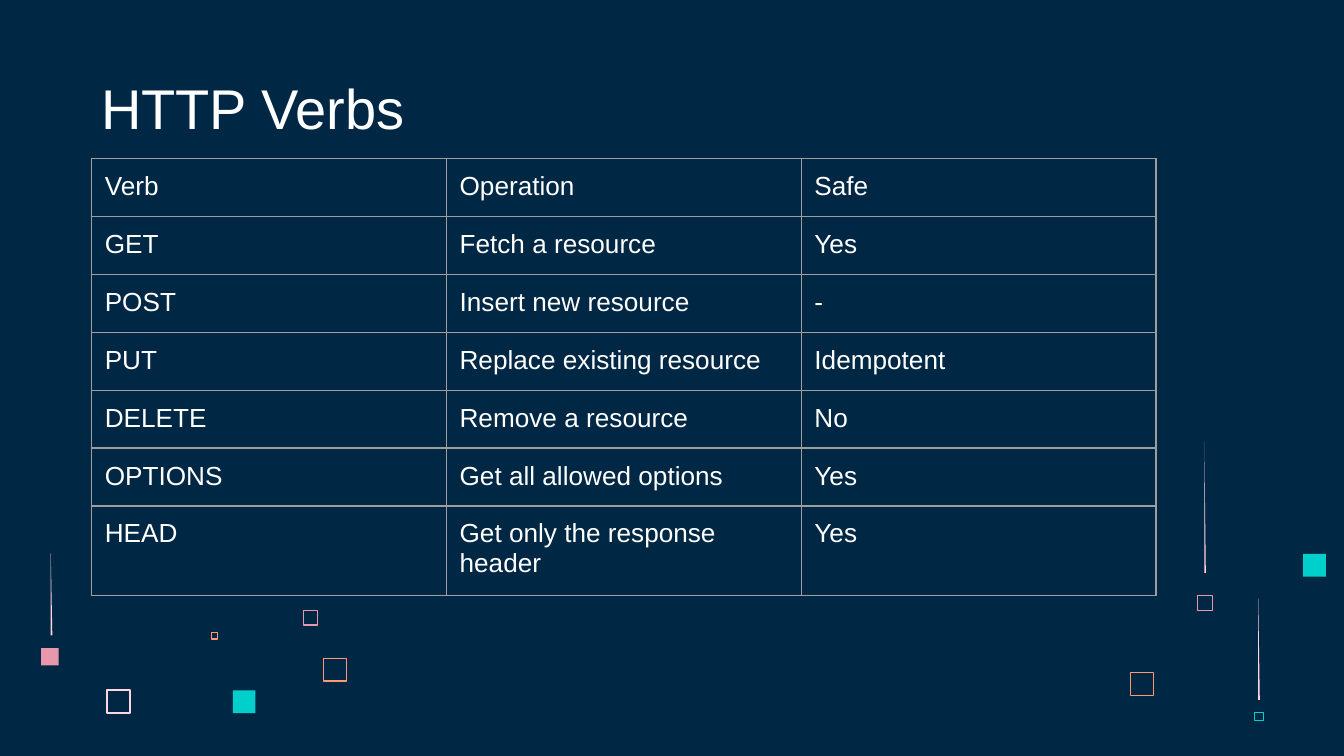
from lxml.etree import SubElement
from pptx import Presentation
from pptx.dml.color import RGBColor
from pptx.enum.shapes import MSO_SHAPE
from pptx.enum.text import MSO_ANCHOR
from pptx.oxml.ns import qn
from pptx.util import Cm, Pt

NAVY, WHITE, GREY = "002845", "FFFFFF", "9E9E9E"
BLUSH, PINK, ORANGE, TEAL = "FFD6E1", "E898AC", "FF9973", "00CFCC"

VERBS = [
    ("Verb", "Operation", "Safe"),
    ("GET", "Fetch a resource", "Yes"),
    ("POST", "Insert new resource", "-"),
    ("PUT", "Replace existing resource", "Idempotent"),
    ("DELETE", "Remove a resource", "No"),
    ("OPTIONS", "Get all allowed options", "Yes"),
    ("HEAD", "Get only the response header", "Yes"),
]

# Left, top, size, colour, outline width in points (0 means filled)
SQUARES = [
    (2.01, 13.03, 0.46, BLUSH, 1),
    (5.72, 11.53, 0.3, PINK, 0.75),
    (3.98, 11.94, 0.15, ORANGE, 0.75),
    (6.1, 12.43, 0.46, ORANGE, 0.75),
    (21.35, 12.7, 0.46, ORANGE, 0.75),
    (22.63, 11.25, 0.28, PINK, 0.23),
    (23.71, 13.46, 0.16, TEAL, 0.23),
    (4.4, 13.05, 0.43, TEAL, 0),
    (24.63, 10.47, 0.43, TEAL, 0),
    (0.78, 12.25, 0.33, PINK, 0),
]

# Left, top, height
STREAKS = [(22.76, 8.35, 2.48), (0.96, 10.46, 1.55), (23.78, 11.3, 1.93)]


def colour(hex_string):
    return RGBColor.from_string(hex_string)


def add_text(paragraph, text, size):
    run = paragraph.add_run()
    run.text = text
    run.font.name = "Arial"
    run.font.size = Pt(size)
    run.font.color.rgb = colour(WHITE)


def set_borders(cell, hex_string, width):
    properties = cell._tc.get_or_add_tcPr()
    for position, side in enumerate(("lnL", "lnR", "lnT", "lnB")):
        line = SubElement(properties, qn(f"a:{side}"), w=str(Pt(width)))
        fill = SubElement(line, qn("a:solidFill"))
        SubElement(fill, qn("a:srgbClr"), val=hex_string)
        # Borders come before the cell's fill
        properties.insert(position, line)


def add_square(slide, left, top, size, hex_string, outline):
    inset = Pt(outline) // 2 if outline >= 0.75 else 0
    side = Cm(size) - 2 * inset
    shape = slide.shapes.add_shape(
        MSO_SHAPE.RECTANGLE, Cm(left) + inset, Cm(top) + inset, side, side)
    shape.shadow.inherit = False
    if outline:
        shape.fill.background()
        shape.line.color.rgb = colour(hex_string)
        shape.line.width = Pt(outline)
    else:
        shape.fill.solid()
        shape.fill.fore_color.rgb = colour(hex_string)
        shape.line.fill.background()


def add_streak(slide, left, top, height):
    """A thin wedge that widens downwards."""
    width = Cm(0.03)
    x, y, bottom = Cm(left), Cm(top), Cm(top + height)
    builder = slide.shapes.build_freeform(x, y)
    builder.add_line_segments([(x, bottom), (x + width, bottom)], close=True)
    shape = builder.convert_to_shape()
    shape.shadow.inherit = False
    shape.fill.solid()
    shape.fill.fore_color.rgb = colour(BLUSH)
    shape.line.fill.background()


def add_decoration(slide):
    for square in SQUARES:
        add_square(slide, *square)
    for streak in STREAKS:
        add_streak(slide, *streak)


def add_title(slide, left, top, width, height, text):
    frame = slide.shapes.add_textbox(left, top, width, height).text_frame
    frame.word_wrap = True
    frame.vertical_anchor = MSO_ANCHOR.BOTTOM
    frame.margin_left = frame.margin_right = frame.margin_top = Cm(0.18)
    frame.margin_bottom = Cm(0.07)
    add_text(frame.paragraphs[0], text, 30)


def add_verb_table(slide, left, top, width, height, rows):
    table = slide.shapes.add_table(
        len(rows), len(rows[0]), left, top, width, height).table
    table.first_row = table.horz_banding = False
    for row, values in zip(table.rows, rows):
        row.height = Cm(1.06)
        for cell, value in zip(row.cells, values):
            cell.fill.background()
            cell.margin_left = cell.margin_right = Cm(0.25)
            cell.margin_top = cell.margin_bottom = Cm(0.25)
            set_borders(cell, GREY, 0.75)
            add_text(cell.text_frame.paragraphs[0], value, 14)
    # The last row holds two lines
    table.rows[len(rows) - 1].height = Cm(1.62)


def main():
    presentation = Presentation()
    presentation.slide_width, presentation.slide_height = Cm(25.4), Cm(14.29)
    slide = presentation.slides.add_slide(presentation.slide_layouts[6])
    slide.background.fill.solid()
    slide.background.fill.fore_color.rgb = colour(NAVY)

    add_decoration(slide)
    add_title(slide, Cm(1.73), Cm(1.14), Cm(7.47), Cm(1.6), "HTTP Verbs")
    add_verb_table(slide, Cm(1.73), Cm(3), Cm(20.12), Cm(7.98), VERBS)
    presentation.save("out.pptx")


if __name__ == "__main__":
    main()
